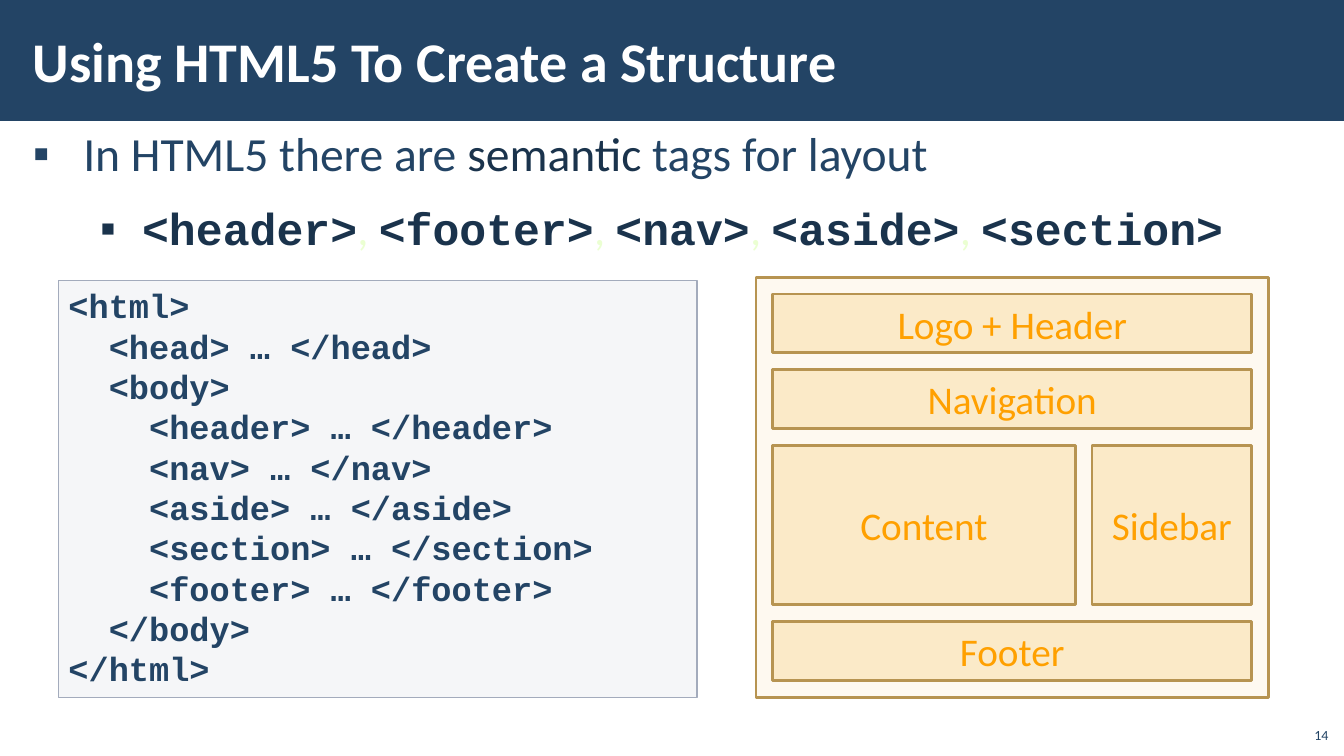
"""Builds a slide on the semantic layout tags of HTML5."""
import pptx
import pptx.util
import pptx.dml.color
import pptx.enum.shapes
import pptx.enum.text
import pptx.oxml.ns
from lxml import etree

Pt = pptx.util.Pt
ALIGN = pptx.enum.text.PP_ALIGN
ANCHOR = pptx.enum.text.MSO_ANCHOR

TITLE = "Using HTML5 To Create a Structure"
INTRO = [("In HTML5 there are ", "navy"), ("semantic", "dark"), (" tags for layout", "navy")]
TAGS = ["<header>", "<footer>", "<nav>", "<aside>", "<section>"]
CODE = [
    (0, "<html>"),
    (1, "<head> … </head>"),
    (1, "<body>"),
    (2, "<header> … </header>"),
    (2, "<nav> … </nav>"),
    (2, "<aside> … </aside>"),
    (2, "<section> … </section>"),
    (2, "<footer> … </footer>"),
    (1, "</body>"),
    (0, "</html>"),
]
LAYOUT_ROWS = [
    (42, [("Logo + Header", 342)]),
    (42, [("Navigation", 342)]),
    (114, [("Content", 216), ("Sidebar", 114)]),
    (42, [("Footer", 342)]),
]
PAGE_NUMBER = "14"

THEME = {
    "colors": {
        "navy": "234465", "dark": "1A334C", "white": "FFFFFF", "pale": "EBFFD2",
        "gold": "F7C86D", "gold_line": "B79451", "orange": "FFA000",
        "gray": "C2C7D2", "gray_line": "A3ABBC",
    },
    "sizes": {"title": 40, "intro": 34, "tags": 32, "label": 28, "code": 24, "number": 10},
    "text": "Calibri",
    "code": "Courier New",
}
PADDING = 12
WIREFRAME = (540, 198, 366, 300)
CODE_BOX = (41.8, 200.2, 456, 298)
CODE_INDENT = 28.8
CODE_LINE = 28.8


def color(name):
    return pptx.dml.color.RGBColor.from_string(THEME["colors"][name])


def apply(target, values):
    for name, value in values.items():
        setattr(target, name, value)


def place(shape, box):
    apply(shape, dict(zip(("left", "top", "width", "height"), map(Pt, box))))


def format_frame(frame, anchor, across=7.2, down=3.6):
    apply(frame, {
        "word_wrap": True, "auto_size": pptx.enum.text.MSO_AUTO_SIZE.NONE,
        "vertical_anchor": anchor, "margin_left": Pt(across), "margin_right": Pt(across),
        "margin_top": Pt(down), "margin_bottom": Pt(down),
    })


def add_run(paragraph, text, size, color_name, font="text", bold=False):
    run = paragraph.add_run()
    run.text = text
    apply(run.font, {"size": Pt(THEME["sizes"][size]), "name": THEME[font], "bold": bold})
    run.font.color.rgb = color(color_name)


def add_box(shapes, box, fill, opacity=100, line=None, line_width=2):
    shape = shapes.add_shape(pptx.enum.shapes.MSO_SHAPE.RECTANGLE, *map(Pt, box))
    shape.shadow.inherit = False
    shape.fill.solid()
    shape.fill.fore_color.rgb = color(fill)
    if opacity < 100:
        fill_color = shape.element.spPr.find(".//" + pptx.oxml.ns.qn("a:srgbClr"))
        etree.SubElement(fill_color, pptx.oxml.ns.qn("a:alpha"), val=str(opacity * 1000))
    if line:
        shape.line.color.rgb = color(line)
        shape.line.width = Pt(line_width)
    else:
        shape.line.fill.background()
    return shape


def set_indent(paragraph, margin, hanging=0, bullet=None):
    properties = paragraph._p.get_or_add_pPr()
    properties.set("marL", str(Pt(margin)))
    properties.set("indent", str(Pt(-hanging)))
    if bullet:
        etree.SubElement(properties, pptx.oxml.ns.qn("a:buChar"), char=bullet)


def add_title(slide):
    title = slide.shapes.title
    band = add_box(slide.shapes, (0, 0, 960, 86.4), "navy")
    title.element.addprevious(band.element)
    place(title, (15, 8, 748, 70))
    format_frame(title.text_frame, ANCHOR.MIDDLE, 8.5, 2.8)
    paragraph = title.text_frame.paragraphs[0]
    paragraph.alignment = ALIGN.LEFT
    add_run(paragraph, TITLE, "title", "white", bold=True)


def add_body(slide):
    body = slide.placeholders[1]
    place(body, (15, 84, 930, 438))
    frame = body.text_frame
    format_frame(frame, ANCHOR.TOP, 8.5, 2.8)
    intro, tags = frame.paragraphs[0], frame.add_paragraph()
    for level, (paragraph, margin, hanging) in enumerate([(intro, 36, 36), (tags, 78, 30)]):
        apply(paragraph, {
            "level": level, "line_spacing": 1.05,
            "space_before": Pt(6), "space_after": Pt(6),
        })
        set_indent(paragraph, margin, hanging, "▪")
    for text, color_name in INTRO:
        add_run(intro, text, "intro", color_name)
    for index, tag in enumerate(TAGS):
        if index:
            add_run(tags, ", ", "tags", "pale")
        add_run(tags, tag, "tags", "dark", "code", True)


def add_code(slide):
    box = add_box(slide.shapes, CODE_BOX, "gray", 15, "gray_line", 1)
    frame = box.text_frame
    format_frame(frame, ANCHOR.TOP)
    for index, (depth, text) in enumerate(CODE):
        paragraph = frame.add_paragraph() if index else frame.paragraphs[0]
        apply(paragraph, {"alignment": ALIGN.LEFT, "line_spacing": Pt(CODE_LINE)})
        set_indent(paragraph, depth * CODE_INDENT)
        add_run(paragraph, text, "code", "navy", "code", True)


def add_wireframe(slide):
    shapes = slide.shapes.add_group_shape().shapes
    add_box(shapes, WIREFRAME, "gold", 10, "gold_line")
    top = WIREFRAME[1] + PADDING
    for height, cells in LAYOUT_ROWS:
        left = WIREFRAME[0] + PADDING
        for label, width in cells:
            cell = add_box(shapes, (left, top, width, height), "gold", 30, "gold_line")
            format_frame(cell.text_frame, ANCHOR.MIDDLE)
            paragraph = cell.text_frame.paragraphs[0]
            paragraph.alignment = ALIGN.CENTER
            add_run(paragraph, label, "label", "orange")
            left += width + PADDING
        top += height + PADDING


def add_page_number(slide):
    box = slide.shapes.add_textbox(*map(Pt, (903.6, 516.2, 48.2, 18)))
    format_frame(box.text_frame, ANCHOR.MIDDLE, 2.8, 2.8)
    paragraph = box.text_frame.paragraphs[0]
    paragraph.alignment = ALIGN.RIGHT
    add_run(paragraph, PAGE_NUMBER, "number", "navy")


def main():
    presentation = pptx.Presentation()
    apply(presentation, {"slide_width": Pt(960), "slide_height": Pt(540)})
    slide = presentation.slides.add_slide(presentation.slide_layouts[1])
    for add_part in (add_title, add_body, add_page_number, add_wireframe, add_code):
        add_part(slide)
    presentation.save("out.pptx")


if __name__ == "__main__":
    main()
